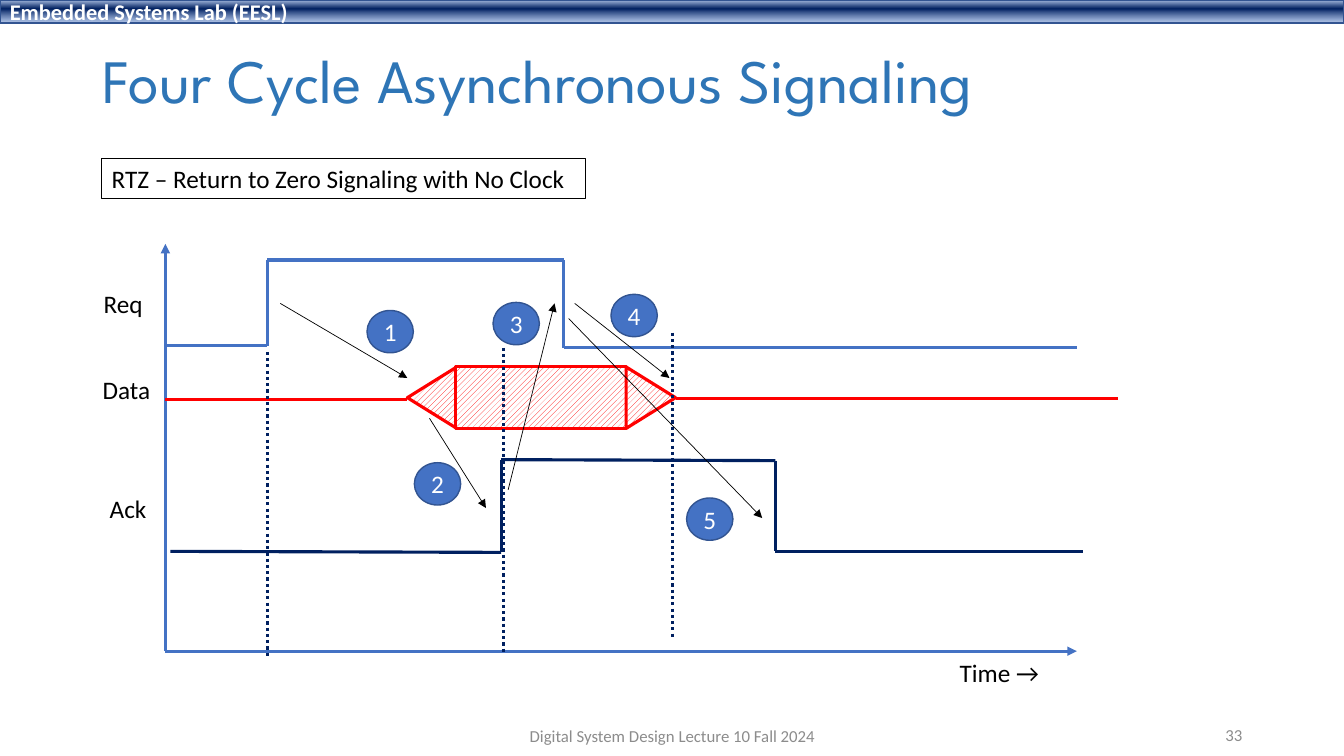
from typing import NamedTuple, Optional

from lxml import etree
from pptx import Presentation
from pptx.dml.color import RGBColor
from pptx.enum.dml import MSO_LINE as DASH, MSO_PATTERN as PATTERN
from pptx.enum.shapes import MSO_CONNECTOR as CONN, MSO_SHAPE as SHAPE
from pptx.enum.text import MSO_ANCHOR as ANCHOR, PP_ALIGN as ALIGN
from pptx.oxml.ns import qn
from pptx.util import Emu, Pt

SCALE = 9144  # EMU in one px, 100 px to the inch
COLORS = {
    "blue": "4472C4", "edge": "325491", "navy": "002060", "red": "FF0000",
    "title": "2E75B6", "gray": "8C8C8C", "black": "000000", "white": "FFFFFF",
}


class Box(NamedTuple):
    left: int
    top: int
    width: int
    height: int


class Point(NamedTuple):
    x: int
    y: int


class Signal(NamedTuple):
    color: str
    points: list[Point]


class Arrow(NamedTuple):
    start: Point
    end: Point
    color: str = "black"
    weight: float = 0.5


class Label(NamedTuple):
    text: str
    box: Box
    size: int = 18
    color: str = "black"
    font: str = "Calibri"
    align: ALIGN = ALIGN.LEFT
    anchor: ANCHOR = ANCHOR.TOP
    wrap: bool = False
    bold: bool = False


def px(value: int) -> Emu:
    return Emu(value * SCALE)


def rgb(name: str) -> RGBColor:
    return RGBColor.from_string(COLORS[name])


def write(sp, label: Label) -> None:
    tf = sp.text_frame
    frame_format = {"word_wrap": label.wrap, "vertical_anchor": label.anchor}
    for name, value in frame_format.items():
        setattr(tf, name, value)
    p = tf.paragraphs[0]
    p.alignment = label.align
    r = p.add_run()
    r.text = label.text
    font_format = {"name": label.font, "size": Pt(label.size), "bold": label.bold}
    for name, value in font_format.items():
        setattr(r.font, name, value)
    r.font.color.rgb = rgb(label.color)


def add_label(label: Label):
    sp = s.shapes.add_textbox(*map(px, label.box))
    write(sp, label)
    return sp


def add_shape(kind: SHAPE, box: Box, line: str, weight: float = 1,
              fill: Optional[str] = None, rotation: int = 0):
    sp = s.shapes.add_shape(kind, *map(px, box))
    sp.shadow.inherit = False
    sp.rotation = rotation
    sp.line.color.rgb = rgb(line)
    sp.line.width = Pt(weight)
    if fill:
        sp.fill.solid()
        sp.fill.fore_color.rgb = rgb(fill)
    return sp


def add_line(start: Point, end: Point, color: str, weight: float = 2.25,
             dash: Optional[DASH] = None, arrow: bool = False) -> None:
    cn = s.shapes.add_connector(CONN.STRAIGHT, *map(px, (*start, *end)))
    cn.line.color.rgb = rgb(color)
    cn.line.width = Pt(weight)
    if dash:
        cn.line.dash_style = dash
    if arrow:
        etree.SubElement(cn.line._get_or_add_ln(), qn("a:tailEnd"), type="triangle")
    etree.SubElement(cn._element.spPr, qn("a:effectLst"))


def add_hatched(kind: SHAPE, box: Box, rotation: int = 0) -> None:
    fill = add_shape(kind, box, "red", 2.25, rotation=rotation).fill
    fill.patterned()
    fill.pattern = PATTERN.WIDE_UPWARD_DIAGONAL
    fill.fore_color.rgb = rgb("red")
    fill.back_color.rgb = rgb("white")


def set_gradient(sp, stops: list[tuple[int, str, int]]) -> None:
    """Stops are (position %, hex colour, opacity %), from top to bottom."""
    sp.fill.gradient()
    grad = sp._element.spPr.find(qn("a:gradFill"))
    for child in list(grad):
        grad.remove(child)
    stop_list = etree.SubElement(grad, qn("a:gsLst"))
    for position, color, opacity in stops:
        stop = etree.SubElement(stop_list, qn("a:gs"), pos=str(position * 1000))
        clr = etree.SubElement(stop, qn("a:srgbClr"), val=color)
        etree.SubElement(clr, qn("a:alpha"), val=str(opacity * 1000))
    etree.SubElement(grad, qn("a:lin"), ang="5400000", scaled="0")


prs = Presentation()
prs.slide_width, prs.slide_height = px(1333), px(750)
s = prs.slides.add_slide(prs.slide_layouts[6])

# Header band and title
band_box = Box(0, 0, 1333, 23)
band = add_shape(SHAPE.RECTANGLE, band_box, "edge")
set_gradient(band, [(2, "ABC0E4", 100), (38, "002060", 100), (93, "7E9ED6", 64)])
write(band, Label("Embedded Systems Lab (EESL)", band_box, 16, "white",
                  anchor=ANCHOR.MIDDLE, wrap=True, bold=True))
title = add_label(Label("Four Cycle Asynchronous Signaling", Box(92, 40, 1150, 85), 44,
                        "title", "League Spartan", anchor=ANCHOR.MIDDLE, wrap=True))
title.text_frame.paragraphs[0].line_spacing = 0.9

# Axes
ORIGIN = Point(164, 646)
for end in (Point(164, 242), Point(1068, 646)):
    add_line(ORIGIN, end, "blue", arrow=True)

# Signal waveforms
ack = Signal("navy", [Point(169, 547), Point(497, 548), Point(497, 456),
                      Point(769, 457), Point(769, 547), Point(1074, 547)])
data_before = Signal("red", [Point(164, 396), Point(404, 396)])
data_after = Signal("red", [Point(670, 395), Point(1109, 395)])
req = Signal("blue", [Point(164, 343), Point(265, 343), Point(265, 258),
                      Point(559, 258), Point(559, 345), Point(1068, 345)])
for signal in (ack, data_before, data_after, req):
    for start, end in zip(signal.points, signal.points[1:]):
        add_line(start, end, signal.color)

# Valid data window
add_hatched(SHAPE.ISOSCELES_TRIANGLE, Box(398, 370, 61, 49), 270)
add_hatched(SHAPE.RECTANGLE, Box(452, 364, 169, 61))
add_hatched(SHAPE.ISOSCELES_TRIANGLE, Box(615, 370, 61, 49), 90)

# Dotted time markers
MARKER_HEIGHT = 304
for x, top in ((265, 349), (499, 345), (667, 330)):
    add_line(Point(x, top), Point(x, top + MARKER_HEIGHT), "navy", dash=DASH.ROUND_DOT)

# Labels
for label in (
    Label("Time →", Box(942, 647, 100, 40)),
    Label("Req", Box(93, 281, 59, 40)),
    Label("Data", Box(92, 366, 68, 40)),
    Label("Ack", Box(99, 484, 57, 40)),
):
    add_label(label)
note_box = Box(101, 157, 480, 40)
note = add_shape(SHAPE.RECTANGLE, note_box, "black", fill="white")
write(note, Label("RTZ – Return to Zero Signaling with No Clock", note_box))

# Cause and effect arrows
for arrow in (
    Arrow(Point(278, 301), Point(404, 375)),
    Arrow(Point(426, 415), Point(482, 504)),
    Arrow(Point(504, 486), Point(550, 301)),
    Arrow(Point(570, 301), Point(664, 375)),
    Arrow(Point(564, 316), Point(756, 514)),
):
    add_line(*arrow, arrow=True)

# Numbered steps
steps = [Point(364, 308), Point(411, 459), Point(489, 300), Point(606, 292), Point(681, 494)]
for number, corner in enumerate(steps, 1):
    box = Box(*corner, 46, 42)
    write(add_shape(SHAPE.OVAL, box, "edge", fill="blue"),
          Label(str(number), box, color="white", align=ALIGN.CENTER,
                anchor=ANCHOR.MIDDLE, wrap=True))

# Footer
for text, box, align in (
    ("Digital System Design Lecture 10 Fall 2024", Box(442, 710, 450, 40), ALIGN.CENTER),
    ("33", Box(942, 709, 300, 40), ALIGN.RIGHT),
):
    add_label(Label(text, box, 12, "gray", align=align, anchor=ANCHOR.MIDDLE, wrap=True))

prs.save("out.pptx")
